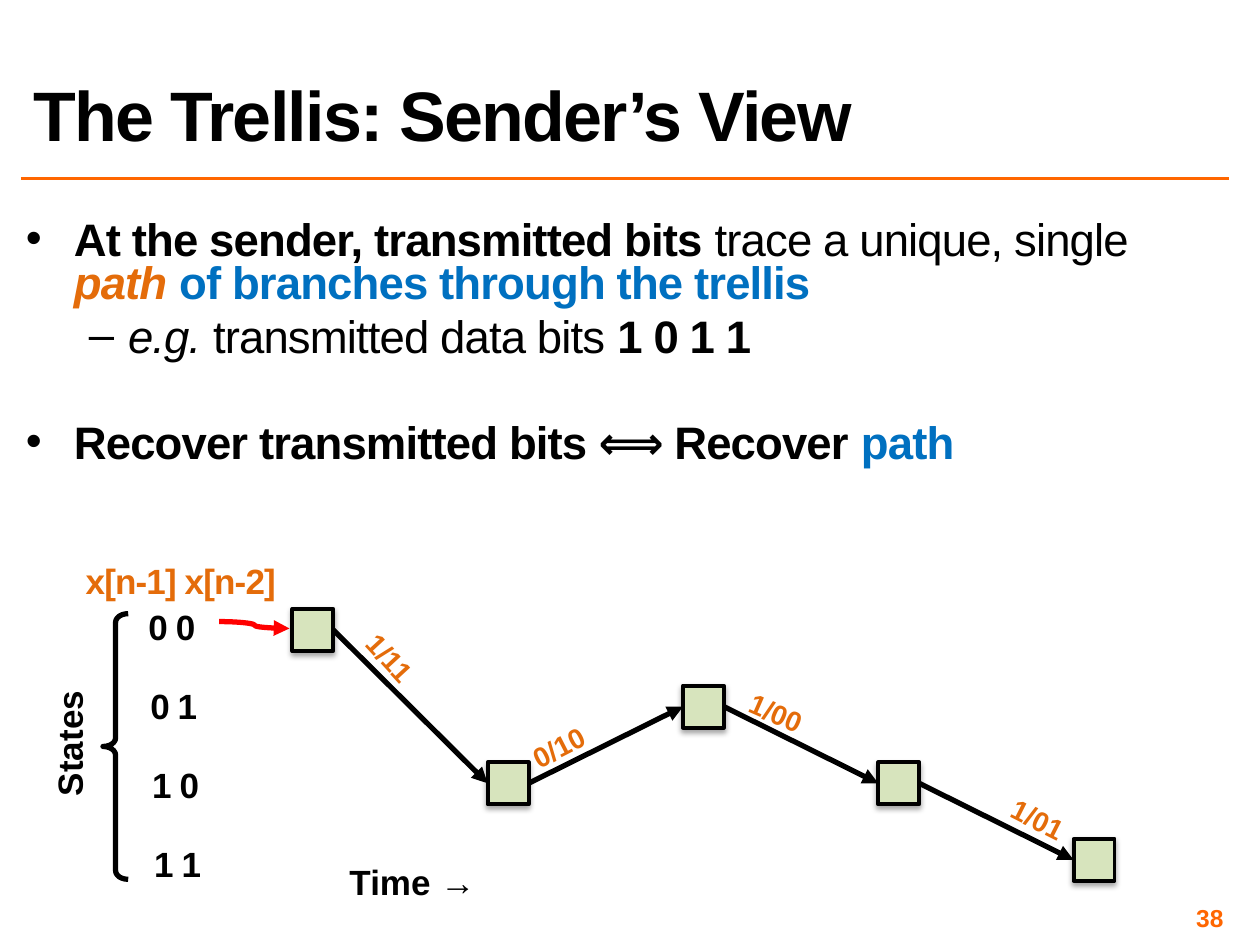
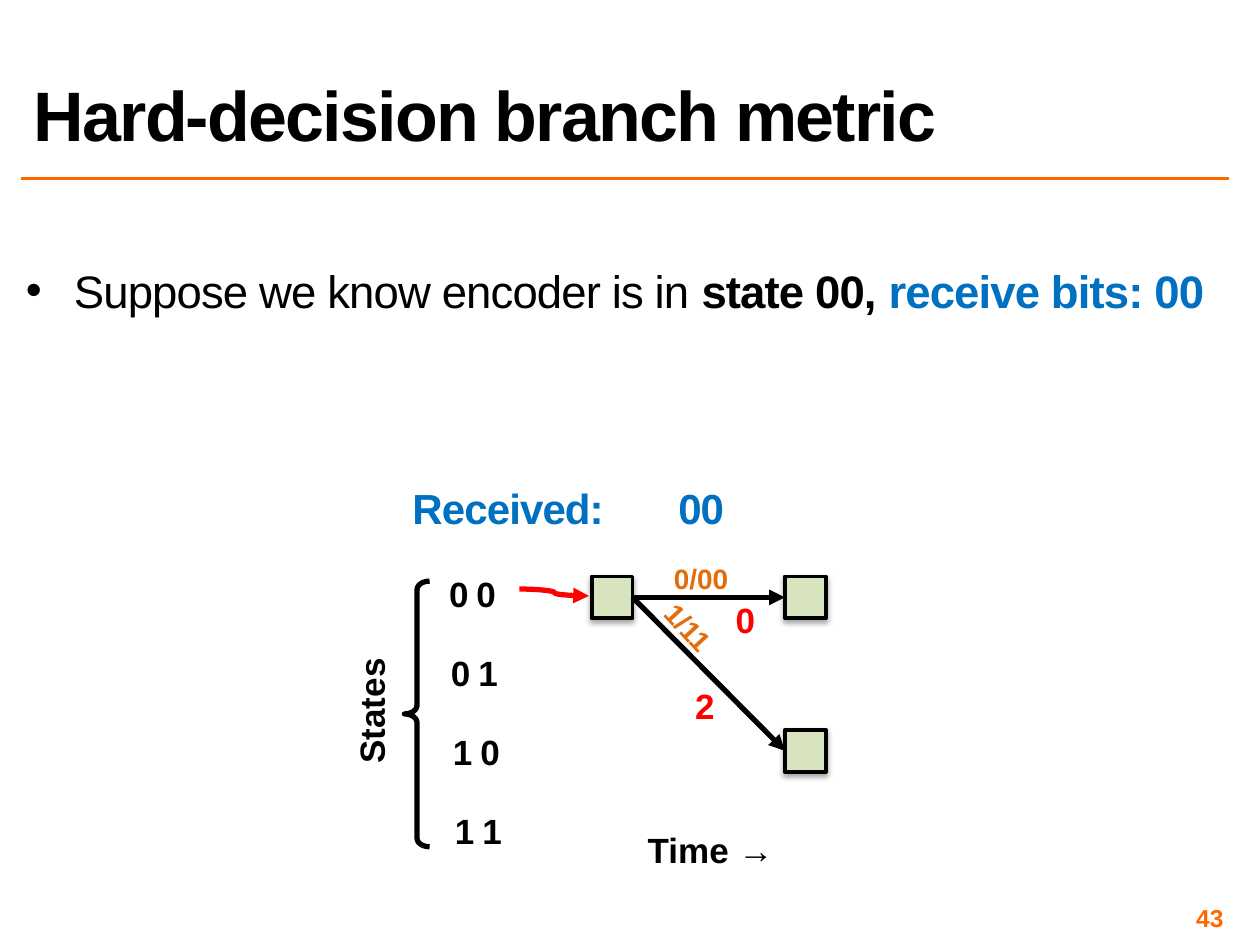
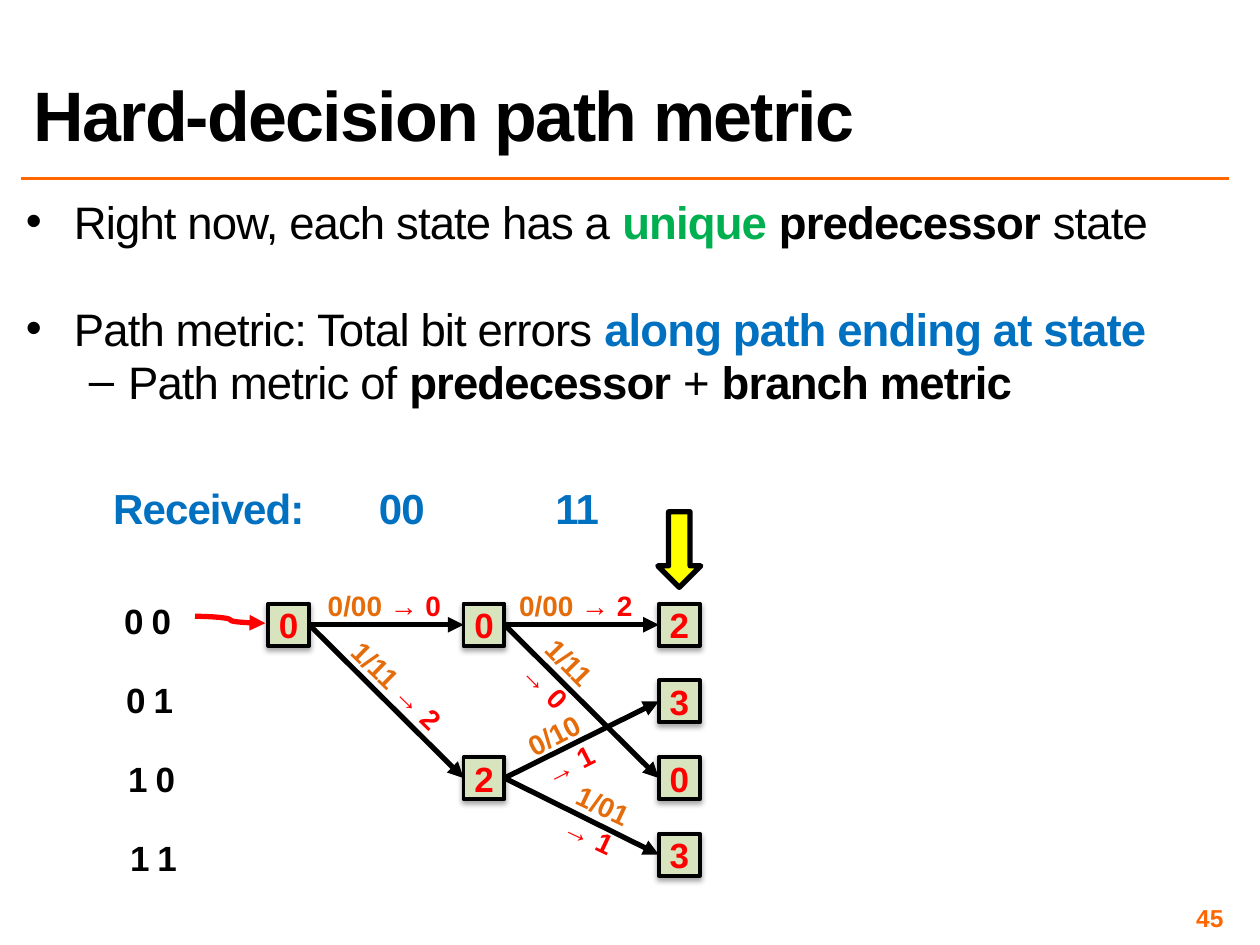
from lxml import etree
from pptx import Presentation, util as u
from pptx.dml.color import RGBColor
from pptx.enum import shapes, text
from pptx.oxml import ns

BLACK = RGBColor(0x00, 0x00, 0x00)
RULE = RGBColor(0xFF, 0x66, 0x00)
RUST = RGBColor(0xE4, 0x6C, 0x0A)
BLUE = RGBColor(0x00, 0x70, 0xC0)
GREEN = RGBColor(0x00, 0xB0, 0x50)
RED = RGBColor(0xFF, 0x00, 0x00)
PALE = RGBColor(0xD7, 0xE4, 0xBD)
YELLOW = RGBColor(0xFF, 0xFF, 0x00)

COLS = 60  # slide grid of square cells, 60 by 45
ROW = 3.65  # height of a trellis row, in slide rows
LEFT, MID, RIGHT = text.PP_ALIGN.LEFT, text.PP_ALIGN.CENTER, text.PP_ALIGN.RIGHT
KIND, LINK = shapes.MSO_SHAPE, shapes.MSO_CONNECTOR
TOP, CENTRE, BASE = text.MSO_ANCHOR.TOP, text.MSO_ANCHOR.MIDDLE, text.MSO_ANCHOR.BOTTOM


def sub(parent, tag, **attrs):
    item = etree.SubElement(parent, ns.qn("a:" + tag))
    for key, val in attrs.items():
        item.set(key, str(val))
    return item


class Deck:
    def __init__(self):
        self.prs = Presentation()
        self.prs.slide_width, self.prs.slide_height = u.Inches(10), u.Inches(7.5)
        self.slide = None

    def grid(self, *vals):
        """Turn grid counts into lengths."""
        cell = self.prs.slide_width / COLS
        return [u.Emu(round(val * cell)) for val in vals]

    # Text
    def put(self, par, runs, size, tint=BLACK, bold=True, space=0):
        """Fill a paragraph; a run is text or (text, colour, marks b and i)."""
        font = par.font
        font.name, font.size = "Arial", u.Pt(size)
        runs = [runs] if isinstance(runs, str) else runs
        plain = all(isinstance(run, str) for run in runs)
        if plain:
            font.bold, font.color.rgb = bold, tint
        for item in runs:
            run = par.add_run()
            run.text = item if isinstance(item, str) else item[0]
            if not plain:
                _, hue, marks = (item, tint, "b" * bold) if isinstance(item, str) else item
                run.font.bold, run.font.italic = "b" in marks, "i" in marks
                run.font.color.rgb = hue
            if space:
                run._r.get_or_add_rPr().set("spc", str(round(space * 100)))

    def frame(self, box, anchor=TOP, inset=0.04):
        tf = box.text_frame
        tf.word_wrap, tf.vertical_anchor = True, anchor
        tf.margin_left = tf.margin_right = u.Inches(inset)
        tf.margin_top = tf.margin_bottom = u.Inches(inset)
        return tf

    def box(self, x, y, w, h, runs, size, tint=BLACK, align=LEFT, space=0,
            anchor=TOP, tabs=()):
        box = self.slide.shapes.add_textbox(*self.grid(x, y, w, h))
        par = self.frame(box, anchor).paragraphs[0]
        par.alignment = align
        if tabs:
            stops = sub(par._p.get_or_add_pPr(), "tabLst")
            for stop in tabs:
                sub(stops, "tab", pos=u.Inches(stop), algn="l")
        self.put(par, runs, size, tint, space=space)
        return box

    def page(self, title, num):
        """Start a slide with its title, rule and number."""
        self.slide = self.prs.slides.add_slide(self.prs.slide_layouts[5])
        head = self.slide.shapes.title
        head.left, head.top, head.width, head.height = self.grid(1, 1, 57.5, 7)
        par = self.frame(head, BASE, 0.1).paragraphs[0]
        par.alignment, par.line_spacing = LEFT, 0.8
        self.put(par, title, 40, space=-1)
        self.line(LINK.STRAIGHT, (1, 8.5), (58.5, 8.5), RULE, 2)
        self.box(44.5, 43, 14, 1.4, str(num), 14, RULE, RIGHT, anchor=CENTRE)

    def body(self, y, h, items):
        """Bullets as (level, space before, runs)."""
        box = self.slide.shapes.add_textbox(*self.grid(1, y, 57.5, h))
        tf = self.frame(box)
        for i, (level, gap, runs) in enumerate(items):
            par = tf.add_paragraph() if i else tf.paragraphs[0]
            par.level = level
            edge, hang, mark = ((0.38, 0.38, "•"), (0.81, 0.31, "–"))[level]
            prop = par._p.get_or_add_pPr()
            prop.set("marL", str(u.Inches(edge)))
            prop.set("indent", str(-u.Inches(hang)))
            sub(prop, "buFont", typeface="Arial")
            sub(prop, "buChar", char=mark)
            par.line_spacing, par.space_before = 0.8, u.Pt(gap)
            self.put(par, runs, 26, bold=False, space=-0.5)

    # Lines and shapes
    def line(self, kind, start, end, tint=BLACK, width=3, arrow=False):
        link = self.slide.shapes.add_connector(kind, *self.grid(*start, *end))
        link.line.color.rgb, link.line.width = tint, u.Pt(width)
        if arrow:
            sub(link.line._get_or_add_ln(), "tailEnd", type="triangle")
        sub(link._element.spPr, "effectLst")
        return link

    def shape(self, kind, col, row, w, h, fill=None, width=3):
        x, y = self.spot(col, row)
        item = self.slide.shapes.add_shape(kind, *self.grid(x - w / 2, y - h / 2, w, h))
        item.shadow.inherit = False
        if fill is None:
            item.fill.background()
        else:
            item.fill.solid()
            item.fill.fore_color.rgb = fill
        item.line.color.rgb, item.line.width = BLACK, u.Pt(width)
        return item

    # Trellis
    def spot(self, col, row):
        return self.x + col * self.step, self.y + row * ROW

    def label(self, col, row, runs, w=4, h=2.2, size=16, tint=RUST, turn=0, **style):
        x, y = self.spot(col, row)
        style.setdefault("align", MID)
        box = self.box(x - w / 2, y - h / 2, w, h, runs, size, tint, **style)
        box.rotation = turn

    def node(self, col, row, value):
        item = self.shape(KIND.RECTANGLE, col, row, 1.95, 2, PALE, 2.25)
        glow = item._element.spPr.find(ns.qn("a:effectLst"))
        cast = sub(glow, "outerShdw", blurRad=u.Pt(3.1), dist=u.Pt(1.8),
                   dir=90 * 60000, rotWithShape=0)
        sub(sub(cast, "srgbClr", val="000000"), "alpha", val=35000)
        if value:
            par = self.frame(item, CENTRE, 0).paragraphs[0]
            par.alignment = MID
            self.put(par, value, 20, RED)
        return item

    def trellis(self, x, y, step, nodes, edges):
        """Draw nodes {(col, row): value}, the edges and the state names."""
        self.x, self.y, self.step = x, y, step
        made = {at: self.node(*at, value) for at, value in nodes.items()}
        for a, b in edges:
            link = self.line(LINK.STRAIGHT, self.spot(*a), self.spot(*b), arrow=True)
            link.begin_connect(made[a], 3)
            link.end_connect(made[b], 1)
        for i, name in enumerate(("0 0", "0 1", "1 0", "1 1")):
            self.label(-0.68 + i * 0.01, 0.09 + i * 1.03, name, 3.5, 3.5, 20, BLACK,
                       align=LEFT, space=-0.5)
        self.line(LINK.CURVE, self.spot(-0.48, -0.11), self.spot(-0.12, -0.02),
                  RED, arrow=True)

    def axes(self):
        brace = self.shape(KIND.LEFT_BRACE, -1.01, 1.52, 1.2, 12.65)
        brace.adjustments[0], brace.adjustments[1] = 0.34, 0.5
        self.label(-1.24, 1.48, "States", 6.25, 2.65, 20, BLACK, 270)
        self.label(0.51, 3.31, "Time →", 7.2, 2.65, 20, BLACK)

    def bits(self, x, words):
        self.box(x, 22.75, 24, 3.5, "\t".join(["Received:", *words]), 24, BLUE,
                 space=-0.5, tabs=(2.11, 3.51))


def sender(deck):
    deck.page("The Trellis: Sender’s View", 38)
    deck.body(10.3, 12.7, [
        (0, 0, [("At the sender, transmitted bits ", BLACK, "b"),
                "trace a unique, single ", ("path", RUST, "bi"),
                (" of branches through the trellis", BLUE, "b")]),
        (1, 5.5, [("e.g.", BLACK, "i"), " transmitted data bits ",
                  ("1 0 1 1", BLACK, "b")]),
        (0, 36, [("Recover transmitted bits ⟺ Recover ", BLACK, "b"),
                 ("path", BLUE, "b")]),
    ])
    stops = list(enumerate((0, 2, 1, 2, 3)))
    deck.trellis(14.9, 30, 9.3, dict.fromkeys(stops, ""), zip(stops, stops[1:]))
    deck.axes()
    deck.label(-0.63, -0.51, "x[n-1] x[n-2]", 10.4, 3.5, 20, align=LEFT, space=-0.5)
    for col, row, name, turn in ((0.39, 0.37, "1/11", 47.3), (1.26, 1.54, "0/10", -27.2),
                                 (2.37, 1.09, "1/00", 23.6), (3.71, 2.48, "1/01", 26.8)):
        deck.label(col, row, name, turn=turn)


def branch(deck):
    deck.page("Hard-decision branch metric", 43)
    deck.body(12.8, 8.9, [
        (0, 0, ["Suppose we know encoder is in ", ("state 00, ", BLACK, "b"),
                ("receive bits: 00", BLUE, "b")]),
    ])
    root, ends = (0, 0), [(1, 0), (1, 2)]
    deck.bits(19.4, ["00"])
    deck.trellis(29.15, 28.45, 9.2, dict.fromkeys([root, *ends], ""),
                 [(root, end) for end in ends])
    deck.axes()
    deck.label(0.46, -0.23, "0/00")
    deck.label(0.39, 0.4, "1/11", turn=47.3)
    for col, row, cost in ((0.69, 0.31, "0"), (0.48, 1.43, "2")):
        deck.label(col, row, cost, 2.2, 2.65, 20, RED)


def total(deck):
    deck.page("Hard-decision path metric", 45)
    deck.body(9.5, 10.7, [
        (0, 0, ["Right now, each state has a ", ("unique ", GREEN, "b"),
                ("predecessor", BLACK, "b"), " state"]),
        (0, 36, ["Path metric: Total bit errors ",
                 ("along path ending at state", BLUE, "b")]),
        (1, 5.5, ["Path metric of ", ("predecessor", BLACK, "b"), " + ",
                  ("branch metric", BLACK, "b")]),
    ])
    deck.bits(5.15, ["00", "11"])
    costs = {(0, 0): "0", (1, 0): "0", (1, 2): "2",
             (2, 0): "2", (2, 1): "3", (2, 2): "0", (2, 3): "3"}
    deck.trellis(13.75, 29.75, 9.3, costs, [
        ((0, 0), (1, 0)), ((0, 0), (1, 2)), ((1, 0), (2, 0)),
        ((1, 0), (2, 2)), ((1, 2), (2, 1)), ((1, 2), (2, 3))])
    # Branch bits and their costs; narrow labels break before the cost
    for col, row, name, cost, w, h, turn in (
            (0.49, -0.24, "0/00", 0, 7.1, 2.2, 0),
            (0.55, 0.8, "1/11", 2, 7.1, 2.2, 44.2),
            (1.47, -0.24, "0/00", 2, 7.1, 2.2, 0),
            (1.37, 0.66, "1/11", 0, 4, 3.85, 45.7),
            (1.4, 1.65, "0/10", 1, 4, 3.85, -27.2),
            (1.57, 2.57, "1/01", 1, 4, 3.85, 25.3)):
        deck.label(col, row, [(name + " ", RUST, "b"), (f"→ {cost}", RED, "b")],
                   w, h, turn=turn)
    deck.shape(KIND.DOWN_ARROW, 2, -0.98, 2.05, 3.6, YELLOW)


def main():
    deck = Deck()
    for part in (sender, branch, total):
        part(deck)
    deck.prs.save("out.pptx")


if __name__ == "__main__":
    main()
